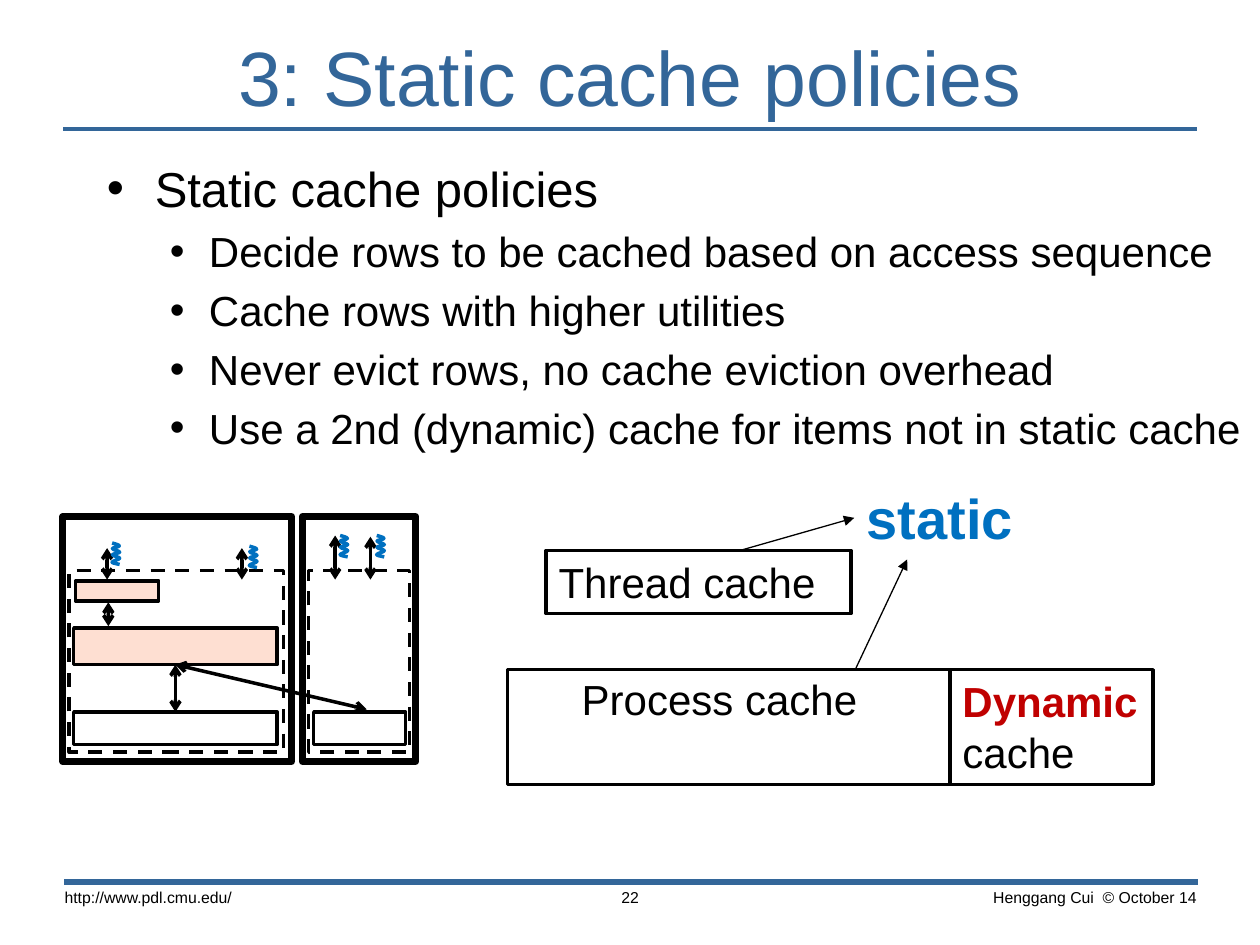
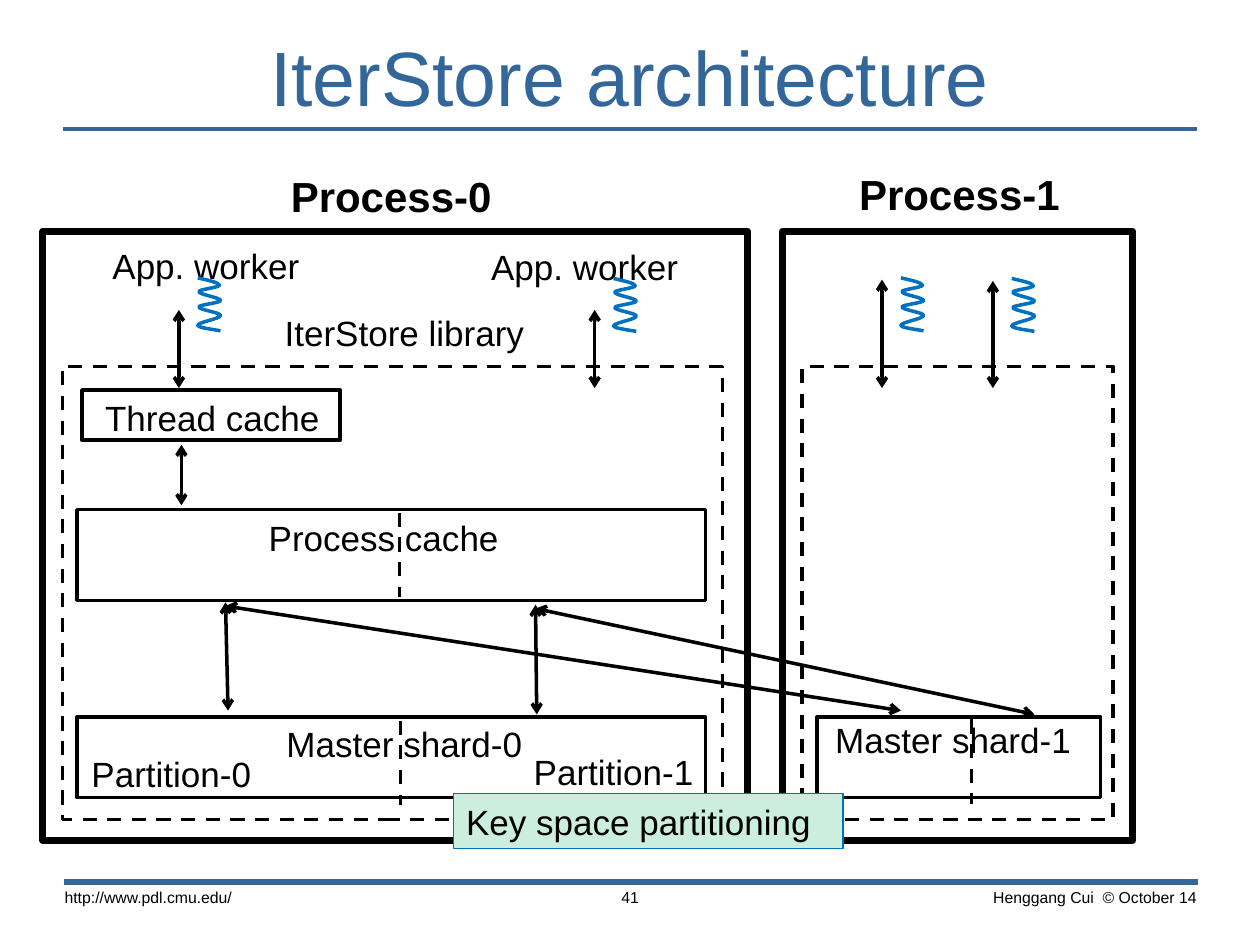
import lxml.etree
import pptx
import pptx.dml.color
import pptx.enum.dml
import pptx.enum.shapes
import pptx.enum.text
import pptx.oxml.ns
import pptx.util
from dataclasses import dataclass


@dataclass(frozen=True)
class Theme:
    font: str = "Arial"
    title: str = "336699"
    ink: str = "000000"
    paper: str = "FFFFFF"
    accent: str = "0070C0"
    alert: str = "C00000"
    cached: str = "FEDFD2"
    note: str = "CCEEDF"
    title_size: int = 44
    emphasis_size: int = 32
    topic_size: int = 28
    body_size: int = 24
    label_size: int = 20
    footer_size: int = 9
    hairline: float = 0.75
    stroke: float = 2
    footer_rule: float = 3.5
    frame: float = 4


theme = Theme()
qn = pptx.oxml.ns.qn
rgb = pptx.dml.color.RGBColor.from_string
Pt = pptx.util.Pt
align_of = pptx.enum.text.PP_ALIGN
DASH = pptx.enum.dml.MSO_LINE.DASH

deck = pptx.Presentation()
deck.slide_width = pptx.util.Inches(10)
deck.slide_height = pptx.util.Inches(7.5)
COL = deck.slide_width / 100
ROW = deck.slide_height / 75


def block(slide, area, runs=(), size=theme.label_size, align=align_of.CENTER,
          fill=None, line=None, weight=theme.stroke, dashed=False):
    left, top, width, height = area
    place = [round(v) for v in (left * COL, top * ROW, width * COL, height * ROW)]
    if line:
        part = slide.shapes.add_shape(pptx.enum.shapes.MSO_SHAPE.RECTANGLE, *place)
        part.shadow.inherit = False
        part.fill.solid()
        part.fill.fore_color.rgb = rgb(fill or theme.paper)
        part.line.color.rgb = rgb(line)
        part.line.width = Pt(weight)
        if dashed:
            part.line.dash_style = DASH
    else:
        part = slide.shapes.add_textbox(*place)
    frame = part.text_frame
    frame.word_wrap = True
    frame.vertical_anchor = pptx.enum.text.MSO_ANCHOR.TOP
    paragraph = frame.paragraphs[0]
    paragraph.alignment = align
    for index, (words, color, bold) in enumerate(runs):
        if index:
            paragraph.add_line_break()
        run = paragraph.add_run()
        run.text = words
        run.font.name = theme.font
        run.font.size = Pt(size)
        run.font.bold = bold
        run.font.color.rgb = rgb(color)
    return part


def link(slide, ends, color=theme.ink, weight=theme.stroke, head=None, tail=None, dashed=False):
    x1, y1, x2, y2 = ends
    connector = slide.shapes.add_connector(
        pptx.enum.shapes.MSO_CONNECTOR.STRAIGHT,
        round(x1 * COL), round(y1 * ROW), round(x2 * COL), round(y2 * ROW))
    connector.line.color.rgb = rgb(color)
    connector.line.width = Pt(weight)
    if dashed:
        connector.line.dash_style = DASH
    stroke = connector.line._get_or_add_ln()
    for tag, kind in (("a:headEnd", head), ("a:tailEnd", tail)):
        if kind:
            lxml.etree.SubElement(stroke, qn(tag)).set("type", kind)
    lxml.etree.SubElement(connector._element.spPr, qn("a:effectLst"))
    return connector


slides = []
for heading, page in (("3: Static cache policies", "22"), ("IterStore architecture", "41")):
    slide = deck.slides.add_slide(deck.slide_layouts[6])
    slides.append(slide)
    link(slide, (5, 10.25, 95, 10.25), theme.title)
    link(slide, (5.1, 70, 95.1, 70), theme.title, theme.footer_rule)
    title = block(slide, (0, 2.25, 100, 7.5), [(heading, theme.title, False)], theme.title_size)
    title.text_frame.vertical_anchor = pptx.enum.text.MSO_ANCHOR.MIDDLE
    for area, words, align in (
        ((4.15, 70, 25, 4), "http://www.pdl.cmu.edu/", align_of.LEFT),
        ((40.25, 70, 19.5, 2.3), page, align_of.CENTER),
        ((70.65, 70, 25.3, 4), "Henggang Cui  © October 14", align_of.RIGHT),
    ):
        block(slide, area, [(words, theme.ink, False)], theme.footer_size, align)
policies, architecture = slides

points = [
    ("Static cache policies", 0),
    ("Decide rows to be cached based on access sequence", 1),
    ("Cache rows with higher utilities", 1),
    ("Never evict rows, no cache eviction overhead", 1),
    ("Use a 2nd (dynamic) cache for items not in static cache", 1),
]
levels = [(0.38, -0.38, theme.topic_size), (0.81, -0.31, theme.body_size)]
body = block(policies, (7.5, 12.1, 95.9, 50.8), align=align_of.LEFT).text_frame
for index, (words, level) in enumerate(points):
    paragraph = body.add_paragraph() if index else body.paragraphs[0]
    margin, indent, size = levels[level]
    paragraph.level = level
    if index:
        paragraph.space_before = Pt(size / 5)
    properties = paragraph._p.get_or_add_pPr()
    properties.set("marL", str(pptx.util.Inches(margin)))
    properties.set("indent", str(pptx.util.Inches(indent)))
    lxml.etree.SubElement(properties, qn("a:buFont")).set("typeface", theme.font)
    lxml.etree.SubElement(properties, qn("a:buChar")).set("char", "•")
    run = paragraph.add_run()
    run.text = words
    run.font.name = theme.font
    run.font.size = Pt(size)
    run.font.color.rgb = rgb(theme.ink)

block(policies, (40.3, 53.15, 35.3, 9.1), line=theme.ink)
block(policies, (38.7, 52.95, 36.8, 5), [("Process cache", theme.ink, False)], theme.body_size)
block(policies, (43.35, 43.7, 24.2, 5), [("Thread cache", theme.ink, False)],
      theme.body_size, align_of.LEFT, line=theme.ink)
block(policies, (75.4, 53.15, 16.1, 9.1),
      [("Dynamic", theme.alert, True), ("cache", theme.ink, False)],
      theme.body_size, align_of.LEFT, line=theme.ink)

for slide, processes, libraries in (
    (policies, [(5, 41, 18.15, 19.45), (24, 41, 9, 19.45)],
     [(5.5, 45.3, 17, 14.4), (24.5, 45.3, 8, 14.4)]),
    (architecture, [(3.4, 18.35, 55.95, 48.35), (62.1, 18.35, 27.8, 48.35)],
     [(4.95, 29.1, 52.4, 35.95), (63.65, 29.1, 24.7, 35.95)]),
):
    for area in processes:
        block(slide, area, line=theme.ink, weight=theme.frame)
    for area in libraries:
        block(slide, area, line=theme.ink, dashed=True)

stores = {}
for slide, name, area, fill in (
    (policies, "mini thread", (6, 46.1, 6.6, 1.6), theme.cached),
    (policies, "mini process", (5.85, 49.85, 16.15, 2.9), theme.cached),
    (policies, "mini shard-0", (5.85, 56.5, 16.15, 2.6), theme.paper),
    (policies, "mini shard-1", (24.9, 56.5, 7.3, 2.6), theme.paper),
    (architecture, "thread", (6.5, 30.95, 20.5, 4), theme.paper),
    (architecture, "process", (6.1, 40.45, 49.9, 7.2), theme.paper),
    (architecture, "shard-0", (6.1, 56.9, 49.9, 6.4), theme.paper),
    (architecture, "shard-1", (64.85, 56.9, 22.5, 6.4), theme.paper),
):
    stores[name] = block(slide, area, fill=fill, line=theme.ink)

for words, area in (
    ("App. worker", (6.5, 18.9, 19.7, 4.4)),
    ("App. worker", (36.3, 19, 20.2, 4.4)),
    ("IterStore library", (19.2, 24.2, 25.8, 4.4)),
    ("Thread cache", (7.2, 31, 19.3, 4.4)),
    ("Process cache", (12.05, 40.5, 36.8, 4.4)),
    ("Master shard-0", (18.8, 56.85, 26.6, 4.4)),
    ("Master shard-1", (62.35, 56.55, 26.6, 4.4)),
    ("Partition-0", (4.2, 59.2, 18.8, 4.4)),
    ("Partition-1", (39.3, 59.1, 18.8, 4.4)),
):
    block(architecture, area, [(words, theme.ink, False)])
for words, left, top in (("Process-0", 16.4, 13.05), ("Process-1", 61.5, 12.9)):
    block(architecture, (left, top, 29.3, 5), [(words, theme.ink, True)], theme.body_size)

for slide, ends, start, finish in (
    (policies, (8.6, 47.8, 8.6, 49.7), None, None),
    (policies, (13.9, 52.9, 13.9, 56.3), "mini process", "mini shard-0"),
    (policies, (13.9, 53, 29.1, 56.3), "mini process", None),
    (architecture, (14.4, 35.3, 14.4, 40.1), None, None),
    (architecture, (17.9, 47.8, 18.1, 56.4), None, None),
    (architecture, (17.9, 48.1, 71.5, 56.4), None, None),
    (architecture, (42.5, 48, 42.6, 56.7), None, None),
    (architecture, (42.5, 48.3, 82.1, 56.7), None, None),
):
    exchange = link(slide, ends, head="arrow", tail="arrow")
    if start:
        exchange.begin_connect(stores[start], 2)
    if finish:
        exchange.end_connect(stores[finish], 0)

for x, top in ((31.7, 40.7), (31.8, 57.2), (77.1, 57.1)):
    link(architecture, (x, top, x, top + 6.7), dashed=True)

turns = [(0, 0), (0.95, 0.14), (0.05, 0.26), (1, 0.43),
         (0.05, 0.55), (1, 0.71), (0, 0.9), (1, 1)]
for slide, width, height, access_end, workers in (
    (policies, 0.6, 1.7, 46,
     [(8.5, 43.5, 8.9, 43.1), (19.2, 43.5, 19.8, 43.35),
      (26.6, 42.5, 27, 42.5), (29.4, 42.6, 29.9, 42.5)]),
    (architecture, 1.8, 4.2, 30.8,
     [(14.2, 24.6, 15.7, 22.05), (47.2, 24.6, 48.7, 22.1),
      (70, 22.2, 71.5, 22.05), (78.8, 22.3, 80.3, 22.1)]),
):
    for access_x, access_top, left, top in workers:
        link(slide, (access_x, access_top, access_x, access_end), head="arrow", tail="arrow")
        wave = [((left + width * x) * COL, (top + height * y) * ROW) for x, y in turns]
        outline = slide.shapes.build_freeform(*wave[0])
        outline.add_line_segments(wave[1:], close=False)
        thread = outline.convert_to_shape()
        thread.shadow.inherit = False
        thread.fill.background()
        thread.line.color.rgb = rgb(theme.accent)
        thread.line.width = Pt(theme.stroke)
        corners = list(thread._element.iter(qn("a:pt")))
        spots = [(int(corner.get("x")), int(corner.get("y"))) for corner in corners]
        for index in range(1, len(spots)):
            (x0, y0), (x1, y1) = spots[index - 1:index + 1]
            middle = (x0 + x1) / 2
            bends = [(middle if index == 1 else x0, y0 + (y1 - y0) * 0.35),
                     (middle if index == len(spots) - 1 else x1, y0 + (y1 - y0) * 0.65),
                     (x1, y1)]
            segment = corners[index].getparent()
            curve = lxml.etree.Element(qn("a:cubicBezTo"))
            for x, y in bends:
                bend = lxml.etree.SubElement(curve, qn("a:pt"))
                bend.set("x", str(round(x)))
                bend.set("y", str(round(y)))
            segment.getparent().replace(segment, curve)

static = block(policies, (67.8, 37.9, 15.2, 6.4), [("static", theme.accent, True)],
               theme.emphasis_size, align_of.LEFT)
thread_pointer = link(policies, (58.7, 43.7, 67.8, 41.1), weight=theme.hairline, tail="triangle")
thread_pointer.end_connect(static, 1)
link(policies, (67.9, 53.1, 72, 44.4), weight=theme.hairline, tail="triangle")
block(architecture, (36, 63, 30.9, 4.35), [("Key space partitioning", theme.ink, False)],
      align=align_of.LEFT, fill=theme.note, line=theme.accent, weight=theme.hairline)

deck.save("out.pptx")
